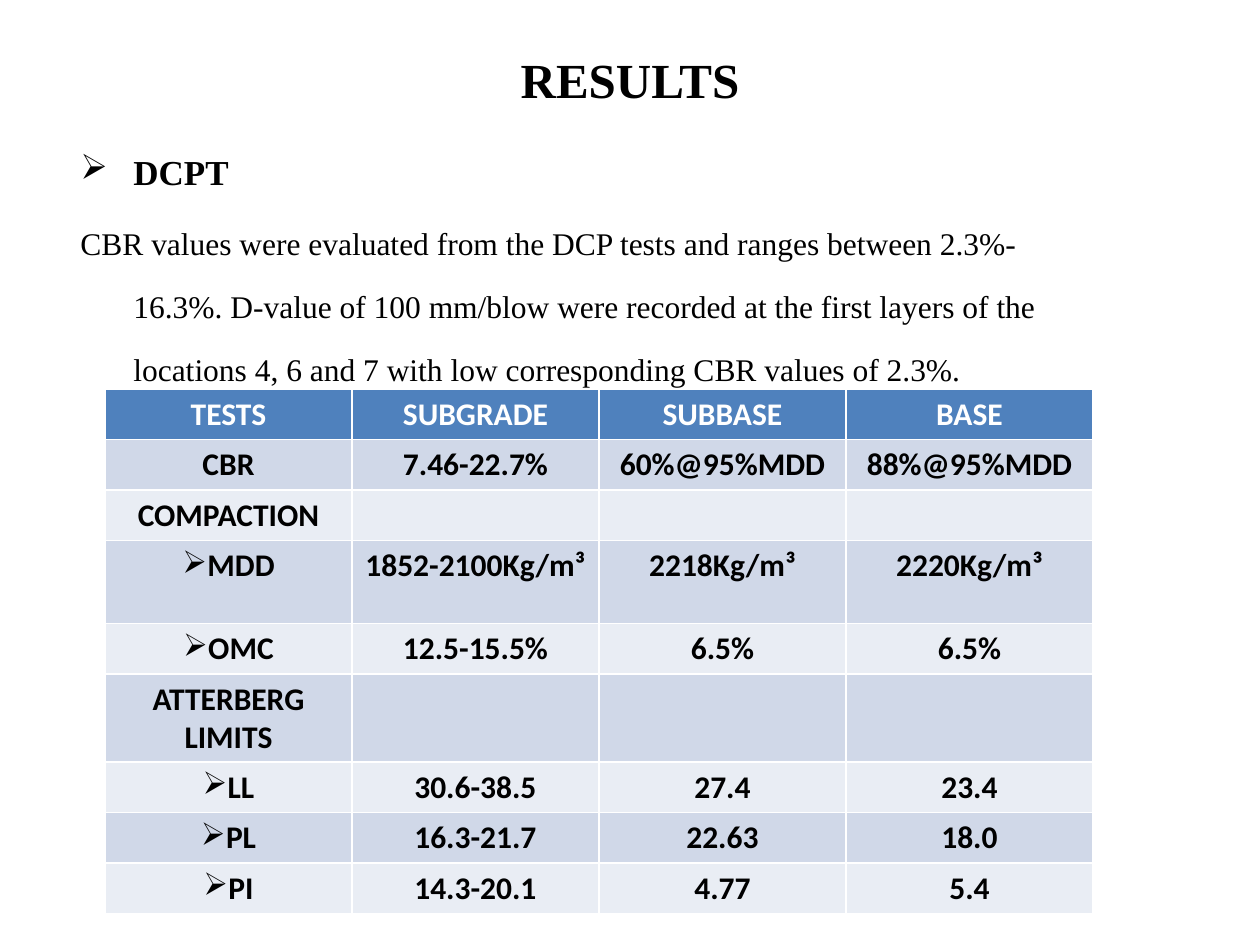
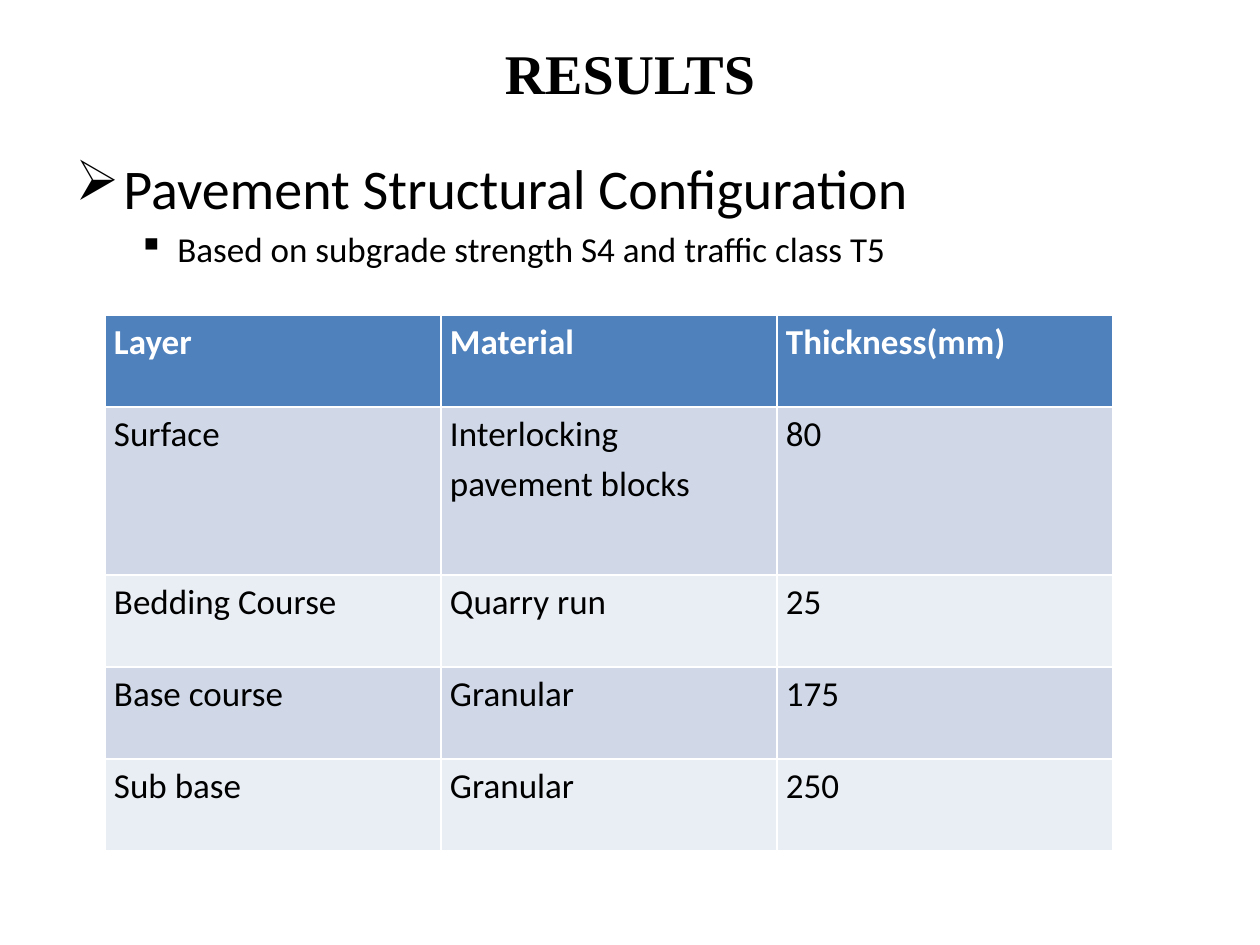
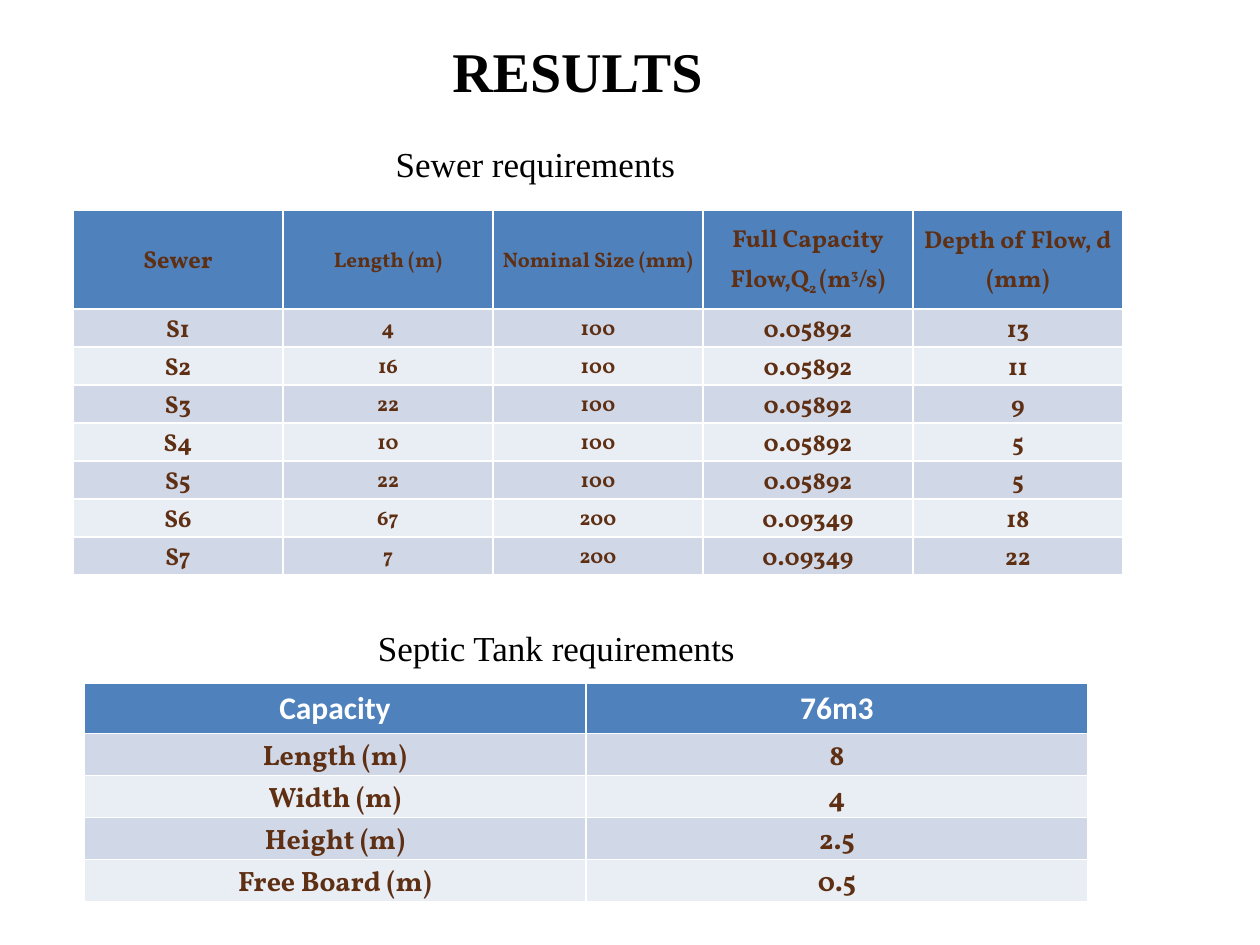
from lxml.etree import SubElement
from pptx import Presentation
from pptx.dml.color import RGBColor
from pptx.enum.text import MSO_ANCHOR, MSO_AUTO_SIZE, PP_ALIGN
from pptx.oxml.ns import qn
from pptx.util import Emu, Pt

SCALE = 914400 / 126
COLORS = {
    "black": "000000",
    "white": "FFFFFF",
    "brown": "5E2F12",
    "header": "4F81BD",
    "odd": "D0D8E8",
    "even": "E9EDF4",
}
SERIF = "Times New Roman"
SANS = "Calibri"
DISPLAY = "Vollkorn"
ARROW = "➢"
CENTER = PP_ALIGN.CENTER


def px(*lengths):
    return [Emu(int(length * SCALE)) for length in lengths]


def write(paragraph, content, size, font, color="black", bold=False,
          align=PP_ALIGN.LEFT, bullet=None, margin=0, indent=0):
    paragraph.alignment = align
    properties = paragraph._p.get_or_add_pPr()
    if bullet or margin:
        left, first = px(margin, indent)
        properties.set("marL", str(left))
        properties.set("indent", str(first))
    if bullet:
        SubElement(properties, qn("a:buChar")).set("char", bullet)
    runs = [(content, 0)] if isinstance(content, str) else content
    for text, baseline in runs:
        run = paragraph.add_run()
        run.text = text
        run.font.size = Pt(size)
        run.font.name = font
        run.font.bold = bold
        run.font.color.rgb = RGBColor.from_string(COLORS[color])
        if baseline:
            run.font._element.set("baseline", str(baseline * 1000))


presentation = Presentation()
presentation.slide_width, presentation.slide_height = px(1260, 945)

slides = []
for width, height, size in [(1134, 82, 28), (1134, 68, 32), (1029, 64, 32)]:
    slide = presentation.slides.add_slide(presentation.slide_layouts[5])
    title = slide.shapes.title
    title.left, title.top, title.width, title.height = px(63, 38, width, height)
    frame = title.text_frame
    frame.margin_left = frame.margin_right = frame.margin_top = frame.margin_bottom = 0
    frame.vertical_anchor = MSO_ANCHOR.MIDDLE
    frame.auto_size = MSO_AUTO_SIZE.NONE
    write(frame.paragraphs[0], "RESULTS", size, SERIF, bold=True, align=CENTER)
    slides.append(slide)
tests_slide, pavement_slide, drainage_slide = slides

findings = ("CBR values were evaluated from the DCP tests and ranges between 2.3%-16.3%. "
            "D-value of 100 mm/blow were recorded at the first layers of the locations "
            "4, 6 and 7 with low corresponding CBR values of 2.3%.")
hanging = dict(margin=58, indent=-53)
text_boxes = [
    (tests_slide, (63, 116, 1029, 777), 1.67, [
        dict(content="DCPT", size=20, font=SERIF, bold=True, bullet=ARROW, **hanging),
        dict(content=findings, size=18, font=SERIF, **hanging),
    ]),
    (pavement_slide, (63, 147, 1134, 697), 1.0, [
        dict(content="Pavement Structural Configuration", size=32, font=SANS,
             bullet=ARROW, margin=48, indent=-48),
        dict(content="Based on subgrade strength S4 and traffic class T5", size=20,
             font=SANS, bullet="▪", margin=102, indent=-39),
    ]),
    (drainage_slide, (63, 136, 945, 55), 1.0, [
        dict(content="Sewer requirements", size=20, font=SERIF, align=CENTER),
    ]),
    (drainage_slide, (84, 620, 945, 55), 1.0, [
        dict(content="Septic Tank requirements", size=20, font=SERIF, align=CENTER),
    ]),
]
for slide, place, spacing, paragraphs in text_boxes:
    frame = slide.shapes.add_textbox(*px(*place)).text_frame
    frame.word_wrap = True
    for index, arguments in enumerate(paragraphs):
        paragraph = frame.add_paragraph() if index else frame.paragraphs[0]
        paragraph.line_spacing = spacing
        if index:
            paragraph.space_before = Pt(arguments["size"] * 0.2)
        write(paragraph, **arguments)

test_rows = [
    ["TESTS", "SUBGRADE", "SUBBASE", "BASE"],
    ["CBR", "7.46-22.7%", "60%@95%MDD", "88%@95%MDD"],
    ["COMPACTION", "", "", ""],
    ["MDD", "1852-2100Kg/m³", "2218Kg/m³", "2220Kg/m³"],
    ["OMC", "12.5-15.5%", "6.5%", "6.5%"],
    ["ATTERBERG LIMITS", "", "", ""],
    ["LL", "30.6-38.5", "27.4", "23.4"],
    ["PL", "16.3-21.7", "22.63", "18.0"],
    ["PI", "14.3-20.1", "4.77", "5.4"],
]
bulleted_tests = {"MDD", "OMC", "LL", "PL", "PI"}
pavement_rows = [
    ["Layer", "Material", "Thickness(mm)"],
    ["Surface", "Interlocking pavement blocks", "80"],
    ["Bedding Course", "Quarry run", "25"],
    ["Base course", "Granular", "175"],
    ["Sub base", "Granular", "250"],
]
full_capacity = [("Full Capacity Flow,Q", 0), ("2 ", -25), ("(m", 0), ("3", 30), ("/s)", 0)]
sewer_rows = [
    ["Sewer", "Length (m)", "Nominal Size (mm)", full_capacity, "Depth of Flow, d (mm)"],
    ["S1", "4", "100", "0.05892", "13"],
    ["S2", "16", "100", "0.05892", "11"],
    ["S3", "22", "100", "0.05892", "9"],
    ["S4", "10", "100", "0.05892", "5"],
    ["S5", "22", "100", "0.05892", "5"],
    ["S6", "67", "200", "0.09349", "18"],
    ["S7", "7", "200", "0.09349", "22"],
]
septic_rows = [
    ["Capacity", "76m3"],
    ["Length (m)", "8"],
    ["Width (m)", "4"],
    ["Height (m)", "2.5"],
    ["Free Board (m)", "0.5"],
]

heading = dict(font=SANS, color="white", bold=True, align=CENTER)
plain = dict(font=SANS)
strong = dict(font=SANS, bold=True, align=CENTER)
brown = dict(font=DISPLAY, color="brown", bold=True, align=CENTER)
left_heading = dict(font=SANS, color="white", bold=True)
top, middle = MSO_ANCHOR.TOP, MSO_ANCHOR.MIDDLE

tables = [
    (tests_slide, 105, 389, 247, [50, 50, 50, 83, 50, 88, 50, 50, 50], test_rows,
     (heading, [18] * 4, top, False), (strong, [18] * 4, top, False)),
    (pavement_slide, 105, 315, 336, [92, 168, 92, 92, 92], pavement_rows,
     (left_heading, [20] * 3, top, True), (plain, [20] * 3, top, True)),
    (drainage_slide, 73, 210, 210, [99] + [38] * 7, sewer_rows,
     (brown, [14, 12, 12, 14, 14], middle, True), (brown, [14, 12, 12, 14, 14], middle, True)),
    (drainage_slide, 84, 683, 502, [42] * 5, septic_rows,
     (heading, [18] * 2, top, False), (brown, [16] * 2, middle, True)),
]
for slide, left, top_edge, column_width, heights, rows, header_style, body_style in tables:
    column_count = len(rows[0])
    place = px(left, top_edge, column_width * column_count, sum(heights))
    table = slide.shapes.add_table(len(rows), column_count, *place).table
    for column in table.columns:
        column.width = px(column_width)[0]
    for row_index, values in enumerate(rows):
        table.rows[row_index].height = px(heights[row_index])[0]
        style, sizes, anchor, compact = body_style if row_index else header_style
        fill = ("odd" if row_index % 2 else "even") if row_index else "header"
        for column_index, value in enumerate(values):
            cell = table.cell(row_index, column_index)
            cell.fill.solid()
            cell.fill.fore_color.rgb = RGBColor.from_string(COLORS[fill])
            cell.vertical_anchor = anchor
            paragraph = cell.text_frame.paragraphs[0]
            if compact:
                cell.margin_left, cell.margin_right = px(9, 9)
                cell.margin_top = cell.margin_bottom = 0
                paragraph.line_spacing = 1.15
                paragraph.space_after = Pt(10)
            if value:
                bullet = ARROW if rows is test_rows and value in bulleted_tests else None
                write(paragraph, value, sizes[column_index], bullet=bullet, **style)

presentation.save("out.pptx")
